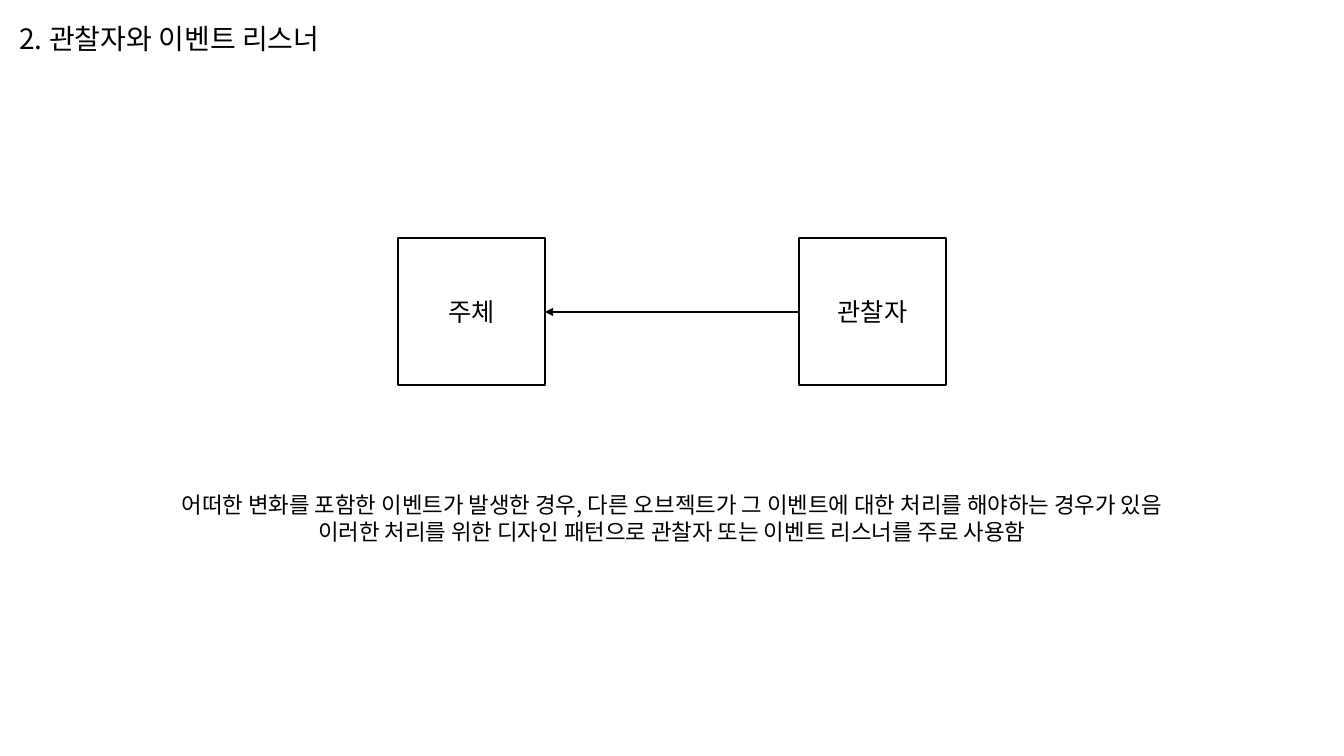
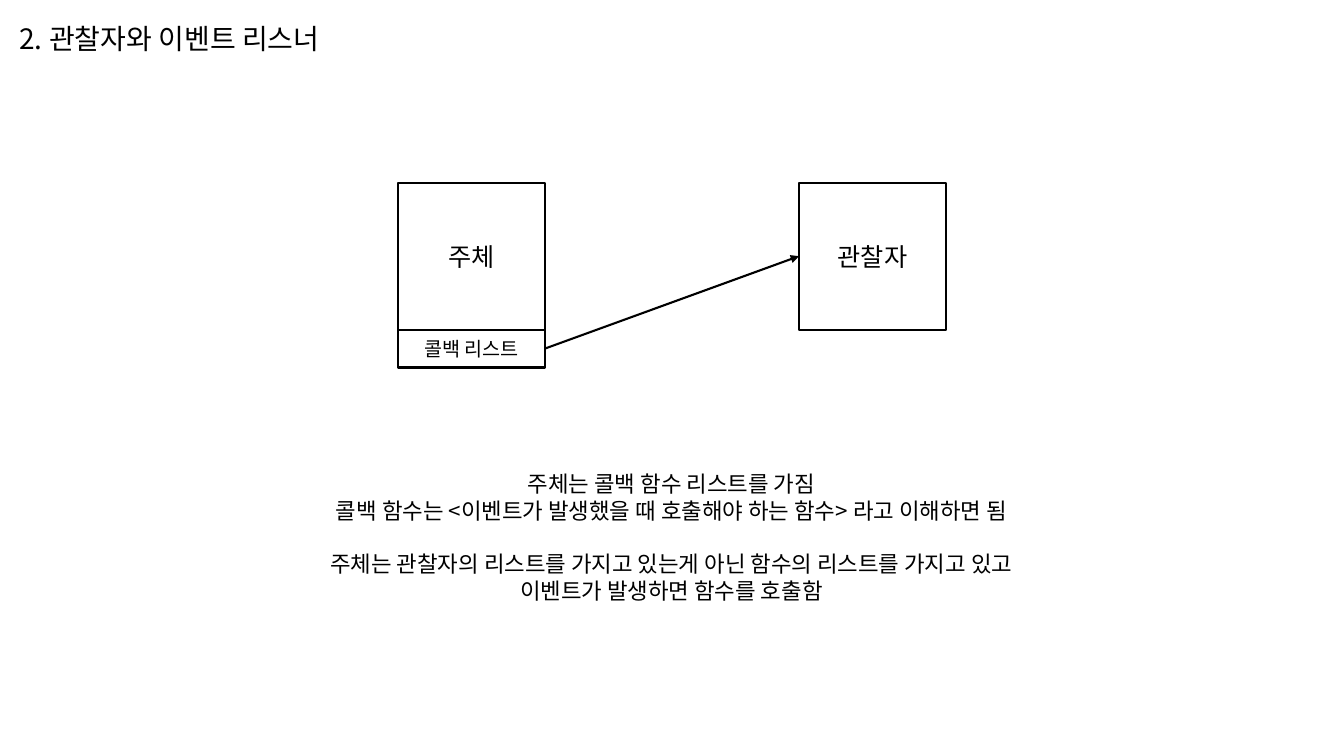
from typing import NamedTuple

from lxml import etree
from pptx import Presentation
from pptx import util as u
from pptx.dml.color import RGBColor
from pptx.enum import shapes, text
from pptx.oxml import ns

PX = 9525
SLIDE_SIZE = (1280, 720)
BLACK = RGBColor(0x00, 0x00, 0x00)
WHITE = RGBColor(0xFF, 0xFF, 0xFF)
FONT = "Noto Sans CJK KR"
LINE_WIDTH = u.Pt(1.5)

TITLE = "2. 관찰자와 이벤트 리스너"
TITLE_SIZE, BODY_SIZE, NODE_SIZE, LIST_SIZE = 20, 16, 18, 14
BODY_LINE = 19

NODE = 140
SUBJECT_LEFT, OBSERVER_LEFT = 379, 761
CALLBACK_HEIGHT = 36


class Box(NamedTuple):
    left: int
    top: int
    width: int
    height: int

    @property
    def middle(self) -> int:
        return self.top + self.height // 2

    @property
    def right(self) -> int:
        return self.left + self.width

    def emu(self) -> list[int]:
        return [length * PX for length in self]


class Explanation(NamedTuple):
    box: Box
    blocks: list[list[str]]


TITLE_BOX = Box(9, 16, 313, 42)
EVENT_HANDLING = Explanation(
    Box(161, 463, 958, 61),
    [[
        "어떠한 변화를 포함한 이벤트가 발생한 경우, 다른 오브젝트가 그 이벤트에 대한 처리를 해야하는 경우가 있음",
        "이러한 처리를 위한 디자인 패턴으로 관찰자 또는 이벤트 리스너를 주로 사용함",
    ]],
)
CALLBACKS = Explanation(
    Box(303, 443, 673, 139),
    [
        [
            "주체는 콜백 함수 리스트를 가짐",
            "콜백 함수는 <이벤트가 발생했을 때 호출해야 하는 함수> 라고 이해하면 됨",
        ],
        [
            "주체는 관찰자의 리스트를 가지고 있는게 아닌 함수의 리스트를 가지고 있고",
            "이벤트가 발생하면 함수를 호출함",
        ],
    ],
)


def style_paragraph(paragraph, size: int, align=text.PP_ALIGN.CENTER) -> None:
    paragraph.alignment = align
    for run in paragraph.runs:
        run.font.size = u.Pt(size)
        run.font.name = FONT
        run.font.color.rgb = BLACK
        east_asian = etree.SubElement(run.font._element, ns.qn("a:ea"))
        east_asian.set("typeface", FONT)


def add_title(slide) -> None:
    frame = slide.shapes.add_textbox(*TITLE_BOX.emu()).text_frame
    frame.word_wrap = True
    frame.text = TITLE
    style_paragraph(frame.paragraphs[0], TITLE_SIZE, text.PP_ALIGN.LEFT)


def add_explanation(slide, explanation: Explanation) -> None:
    """Write centred lines, with a one-line gap between blocks."""
    frame = slide.shapes.add_textbox(*explanation.box.emu()).text_frame
    frame.word_wrap = True
    frame.text = "\n".join(line for block in explanation.blocks for line in block)
    paragraphs = iter(frame.paragraphs)
    for block_index, block in enumerate(explanation.blocks):
        for line_index in range(len(block)):
            paragraph = next(paragraphs)
            style_paragraph(paragraph, BODY_SIZE)
            if block_index and not line_index:
                paragraph.space_before = u.Pt(BODY_LINE)


def add_node(slide, box: Box, label: str, size: int = NODE_SIZE) -> Box:
    node = slide.shapes.add_shape(shapes.MSO_SHAPE.RECTANGLE, *box.emu())
    node.shadow.inherit = False
    node.fill.solid()
    node.fill.fore_color.rgb = WHITE
    node.line.color.rgb = BLACK
    node.line.width = LINE_WIDTH
    node.text_frame.text = label
    node.text_frame.vertical_anchor = text.MSO_ANCHOR.MIDDLE
    style_paragraph(node.text_frame.paragraphs[0], size)
    return box


def add_arrow(slide, start: tuple[int, int], end: tuple[int, int]) -> None:
    arrow = slide.shapes.add_connector(
        shapes.MSO_CONNECTOR.STRAIGHT, *(length * PX for length in start + end)
    )
    arrow.line.color.rgb = BLACK
    arrow.line.width = LINE_WIDTH
    outline = arrow.line._get_or_add_ln()
    etree.SubElement(outline, ns.qn("a:tailEnd")).set("type", "triangle")
    etree.SubElement(arrow._element.spPr, ns.qn("a:effectLst"))


def add_pattern_slide(deck, node_top: int, explanation: Explanation):
    """Add the title, explanation and the two nodes; return the slide and nodes."""
    slide = deck.slides.add_slide(deck.slide_layouts[6])
    add_title(slide)
    add_explanation(slide, explanation)
    subject = add_node(slide, Box(SUBJECT_LEFT, node_top, NODE, NODE), "주체")
    observer = add_node(slide, Box(OBSERVER_LEFT, node_top, NODE, NODE), "관찰자")
    return slide, subject, observer


def main() -> None:
    deck = Presentation()
    deck.slide_width, deck.slide_height = (length * PX for length in SLIDE_SIZE)

    slide, subject, observer = add_pattern_slide(deck, 227, EVENT_HANDLING)
    add_arrow(slide, (observer.left, observer.middle), (subject.right, subject.middle))

    slide, subject, observer = add_pattern_slide(deck, 174, CALLBACKS)
    callback_box = Box(subject.left, subject.top + NODE, NODE, CALLBACK_HEIGHT)
    callbacks = add_node(slide, callback_box, "콜백 리스트", LIST_SIZE)
    add_arrow(slide, (callbacks.right, callbacks.middle), (observer.left, observer.middle))

    deck.save("out.pptx")


if __name__ == "__main__":
    main()
